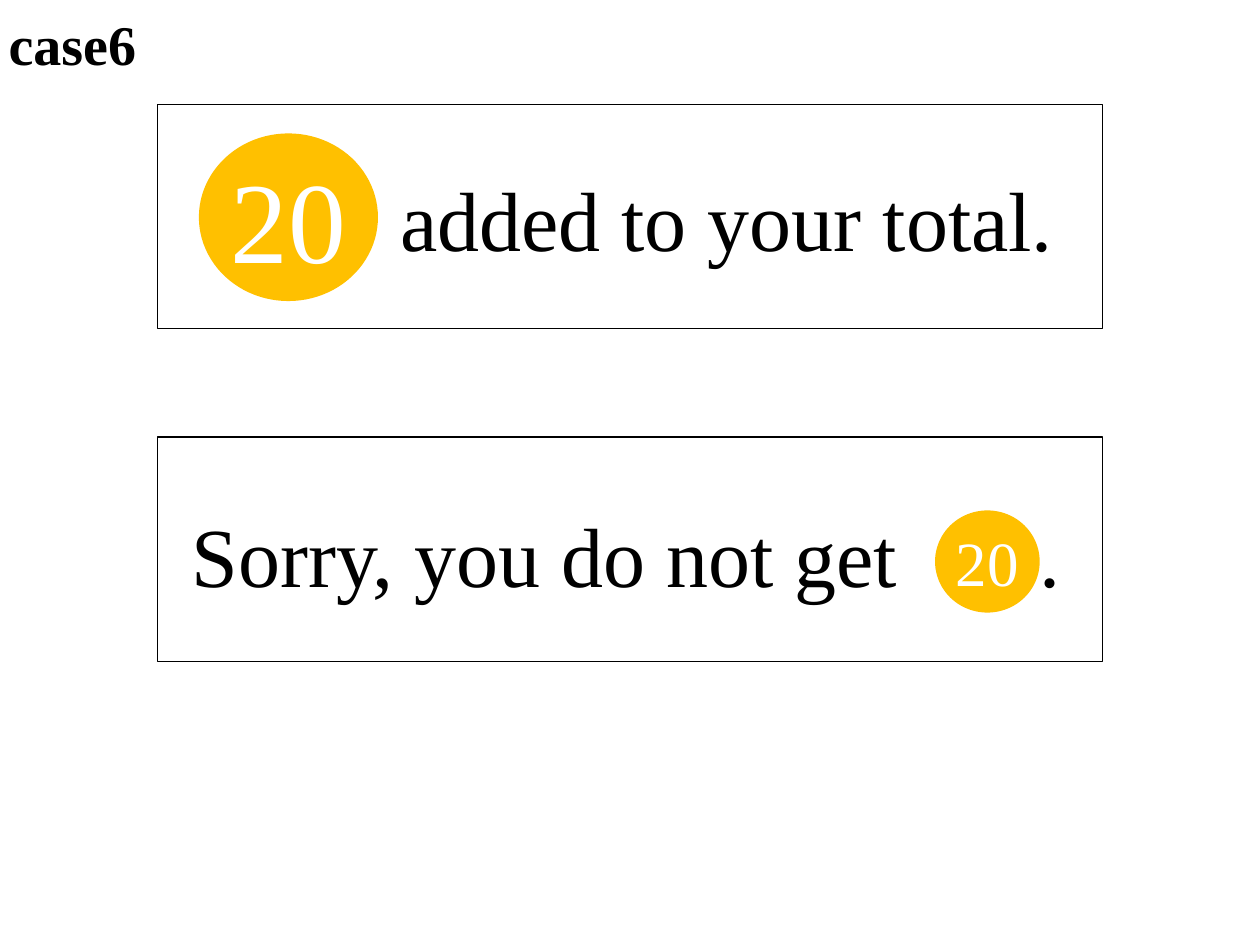
import pptx
import pptx.util
import pptx.dml.color
import pptx.enum.shapes
import pptx.enum.text
from lxml import etree
from pptx.util import Cm, Pt

FONT = "Times New Roman"
BLACK, WHITE, GOLD = "000000", "FFFFFF", "FFC000"
TITLE = "case6"
FRAME_LEFT, FRAME_WIDTH, FRAME_HEIGHT = 3.18, 19.05, 4.52

# Lengths in cm; boxes are (left, top, width, height)
MESSAGES = [
    {"text": "added to your total.", "text_box": (7.82, 2.26, 15.24, 4.52), "tab": None,
     "frame_top": 2.11, "coin": "20", "coin_box": (4.01, 2.69, 3.61, 3.38), "coin_size": 66},
    {"text": "Sorry, you do not get\t.", "text_box": (3.61, 9.04, 19.05, 4.52), "tab": 17.1,
     "frame_top": 8.81, "coin": "20", "coin_box": (18.85, 10.29, 2.11, 2.06), "coin_size": 36},
]


def rgb(color):
    return pptx.dml.color.RGBColor.from_string(color)


def cm(box):
    return [Cm(v) for v in box]


def write(shape, text, size, color, align="LEFT", spacing=0.9, bold=False, tab=None):
    """Fill a shape with one vertically centred paragraph; tab is a stop in cm."""
    tf = shape.text_frame
    tf.auto_size = pptx.enum.text.MSO_AUTO_SIZE.NONE
    tf.vertical_anchor = pptx.enum.text.MSO_ANCHOR.MIDDLE
    tf.word_wrap = True
    p = tf.paragraphs[0]
    p.add_run().text = text
    p.alignment = getattr(pptx.enum.text.PP_ALIGN, align)
    p.line_spacing = spacing
    if tab:
        ns = "{http://schemas.openxmlformats.org/drawingml/2006/main}"
        stops = etree.SubElement(p._p.get_or_add_pPr(), ns + "tabLst")
        etree.SubElement(stops, ns + "tab", pos=str(Cm(tab)), algn="l")
    p.font.name, p.font.size, p.font.bold = FONT, Pt(size), bold
    p.font.color.rgb = rgb(color)


def add_message(s, msg):
    group = s.shapes.add_group_shape().shapes
    kinds = pptx.enum.shapes.MSO_SHAPE

    label = group.add_textbox(*cm(msg["text_box"]))
    write(label, msg["text"], 48, BLACK, tab=msg["tab"])

    frame = group.add_shape(
        kinds.RECTANGLE, *cm((FRAME_LEFT, msg["frame_top"], FRAME_WIDTH, FRAME_HEIGHT)))
    frame.shadow.inherit = False
    frame.fill.background()
    frame.line.color.rgb = rgb(BLACK)
    frame.line.width = Pt(0.75)

    coin = group.add_shape(kinds.OVAL, *cm(msg["coin_box"]))
    coin.shadow.inherit = False
    coin.fill.solid()
    coin.fill.fore_color.rgb = rgb(GOLD)
    coin.line.fill.background()
    tf = coin.text_frame
    tf.margin_left = tf.margin_right = tf.margin_top = tf.margin_bottom = Cm(0.1)
    write(coin, msg["coin"], msg["coin_size"], WHITE, align="CENTER", spacing=1.0)
    tf.word_wrap = False


def main():
    prs = pptx.Presentation()
    prs.slide_width, prs.slide_height = Cm(25.4), Cm(19.05)
    s = prs.slides.add_slide(prs.slide_layouts[5])
    title = s.shapes.title
    title.left, title.top, title.width, title.height = cm((-0.08, 0, 4.88, 1.91))
    write(title, TITLE, 32, BLACK, bold=True)
    for msg in MESSAGES:
        add_message(s, msg)
    prs.save("out.pptx")


if __name__ == "__main__":
    main()
